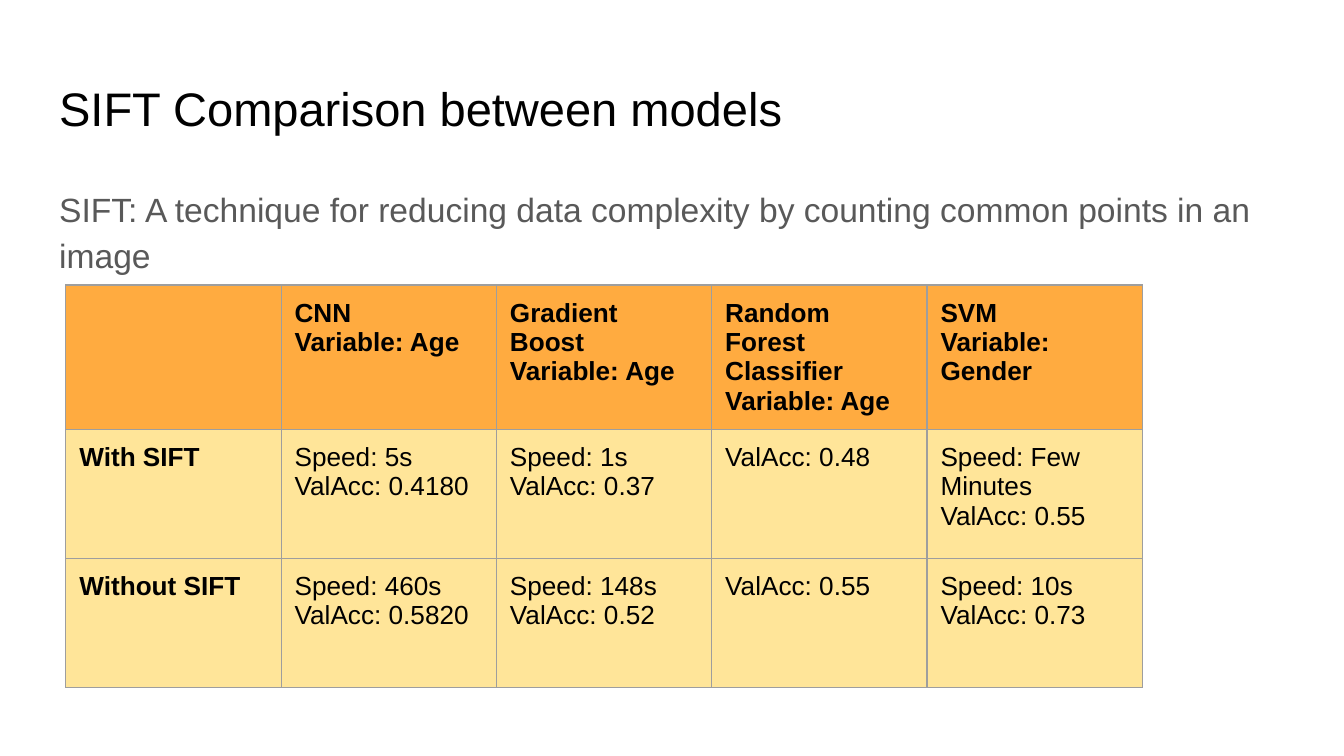
from lxml.etree import SubElement
from pptx import Presentation
from pptx.dml.color import RGBColor
from pptx.enum.text import MSO_ANCHOR, MSO_AUTO_SIZE, PP_ALIGN
from pptx.oxml.ns import qn
from pptx.util import Inches, Pt

# Content
TITLE = "SIFT Comparison between models"
SUMMARY = ("SIFT: A technique for reducing data complexity by counting "
           "common points in an image")
COMPARISON = [
    ["", "CNN\nVariable: Age", "Gradient Boost\nVariable: Age",
     "Random Forest\nClassifier\nVariable: Age", "SVM\nVariable: Gender"],
    ["With SIFT", "Speed: 5s\nValAcc: 0.4180", "Speed: 1s\nValAcc: 0.37",
     "ValAcc: 0.48", "Speed: Few Minutes\nValAcc: 0.55"],
    ["Without SIFT", "Speed: 460s\nValAcc: 0.5820", "Speed: 148s\nValAcc: 0.52",
     "ValAcc: 0.55", "Speed: 10s\nValAcc: 0.73"],
]

THEME = {
    "font": "Arial",
    "title": 25.2, "body": 18, "cell": 14,
    "ink": "000000", "muted": "595959",
    "header": "FFAB40", "row": "FFE599", "border": "9E9E9E",
}

# Layout, in inches, on a 16:9 slide
WIDTH = 10
HEIGHT = WIDTH * 9 / 16
MARGIN = 0.34
INSET = 0.1
TABLE_LEFT, TABLE_TOP = 0.49, 2.12
TABLE_WIDTH, ROW = 8.01, 0.96
BORDER = 0.75  # points


def style(paragraph, size, color, bold=False):
    font = paragraph.font
    font.name, font.size, font.bold = THEME["font"], Pt(size), bold
    font.color.rgb = RGBColor.from_string(color)


def fill_placeholder(holder, text, top, height, size, color, anchor):
    holder.left, holder.top = Inches(MARGIN), Inches(top)
    holder.width, holder.height = Inches(WIDTH - 2 * MARGIN), Inches(height)
    frame = holder.text_frame
    frame.margin_left = frame.margin_right = Inches(INSET)
    frame.margin_top = frame.margin_bottom = Inches(INSET)
    frame.auto_size, frame.word_wrap = MSO_AUTO_SIZE.NONE, True
    frame.vertical_anchor = anchor
    frame.text = text
    paragraph = frame.paragraphs[0]
    paragraph.alignment = PP_ALIGN.LEFT
    paragraph.space_before = Pt(0)
    return paragraph


def add_borders(cell):
    properties = cell._tc.get_or_add_tcPr()
    for side in ("a:lnL", "a:lnR", "a:lnT", "a:lnB"):
        line = SubElement(properties, qn(side), w=str(Pt(BORDER)))
        solid = SubElement(line, qn("a:solidFill"))
        SubElement(solid, qn("a:srgbClr"), val=THEME["border"])


def fill_cell(cell, text, is_header, bold):
    add_borders(cell)
    cell.fill.solid()
    cell.fill.fore_color.rgb = RGBColor.from_string(
        THEME["header" if is_header else "row"])
    cell.margin_left = cell.margin_right = Inches(INSET)
    cell.margin_top = cell.margin_bottom = Inches(INSET)
    cell.text = text
    for paragraph in cell.text_frame.paragraphs:
        style(paragraph, THEME["cell"], THEME["ink"], bold)


def main():
    deck = Presentation()
    deck.slide_width, deck.slide_height = Inches(WIDTH), Inches(HEIGHT)
    slide = deck.slides.add_slide(deck.slide_layouts[1])

    # Title
    heading = fill_placeholder(slide.shapes.title, TITLE, 0.49, 0.63,
                               THEME["title"], THEME["ink"], MSO_ANCHOR.MIDDLE)
    style(heading, THEME["title"], THEME["ink"])

    # Summary, without a bullet
    summary = fill_placeholder(slide.placeholders[1], SUMMARY, 1.26, 4.09,
                               THEME["body"], THEME["muted"], MSO_ANCHOR.TOP)
    summary.line_spacing = 1.15
    summary.space_after = Pt(12)
    properties = summary._p.get_or_add_pPr()
    properties.set("marL", "0")
    properties.set("indent", "0")
    SubElement(properties, qn("a:buNone"))
    style(summary, THEME["body"], THEME["muted"])

    # Comparison table
    rows, columns = len(COMPARISON), len(COMPARISON[0])
    table = slide.shapes.add_table(
        rows, columns, Inches(TABLE_LEFT), Inches(TABLE_TOP),
        Inches(TABLE_WIDTH), Inches(ROW * rows)).table
    for r, entries in enumerate(COMPARISON):
        for c, text in enumerate(entries):
            fill_cell(table.cell(r, c), text, is_header=r == 0,
                      bold=r == 0 or c == 0)

    deck.save("out.pptx")


if __name__ == "__main__":
    main()
